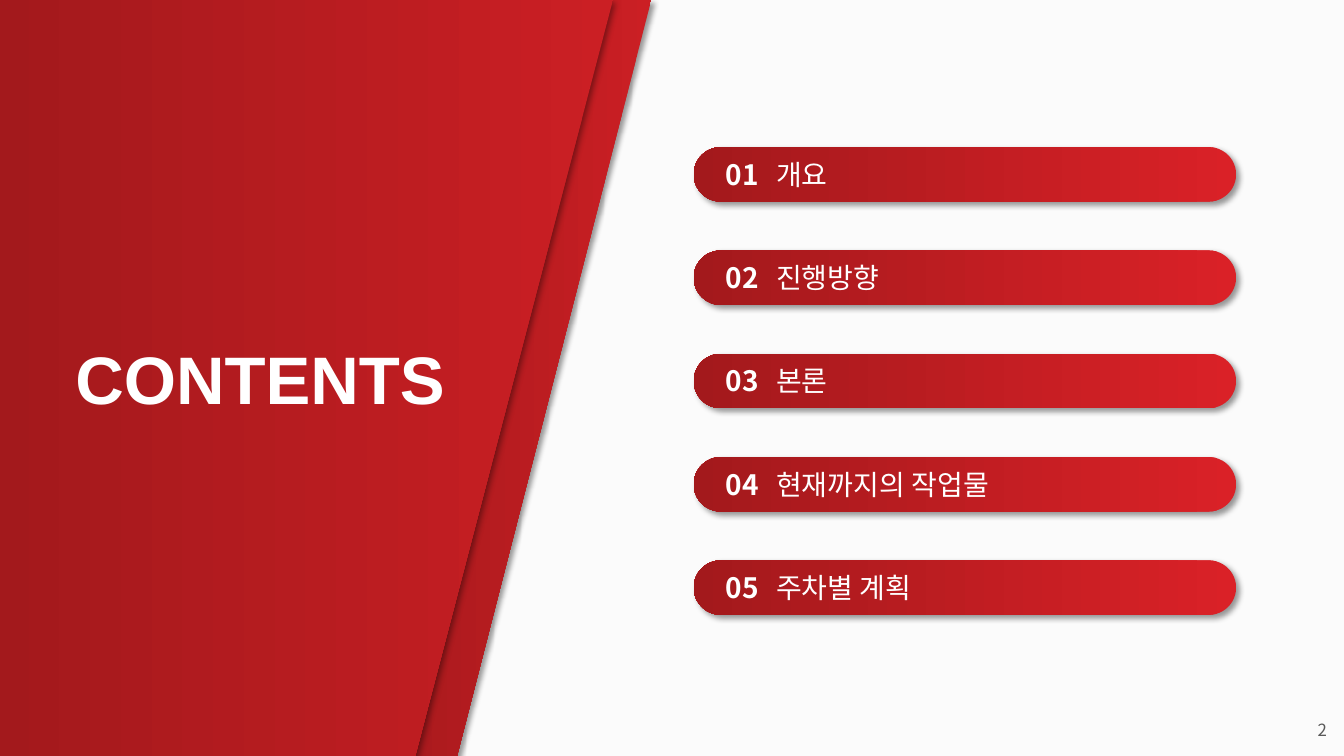
from dataclasses import dataclass

from lxml import etree
from pptx import Presentation
from pptx import util as u
from pptx.dml.color import RGBColor
from pptx.enum import shapes, text
from pptx.oxml.ns import qn


@dataclass(frozen=True)
class Theme:
    background: str = "FBFBFB"
    bright: str = "DA2127"
    medium: str = "CB1F24"
    dark: str = "A3191C"
    light_text: str = "FFFFFF"
    grey_text: str = "595959"
    shadow: str = "000000"
    body_font: str = "Noto Sans CJK KR"
    title_font: str = "Arial"
    title_size: int = 48
    item_size: int = 20
    number_size: int = 12


THEME = Theme()
WIDTH, HEIGHT = 13.33, 7.5
TOPICS = ["개요", "진행방향", "본론", "현재까지의 작업물", "주차별 계획"]

# Columns and rows of the list, in inches
BAR_LEFT, BAR_WIDTH, BAR_HEIGHT = 6.88, 5.38, 0.54
NUMBER_LEFT, NUMBER_WIDTH = 7.1, 2.69
TOPIC_LEFT, TOPIC_WIDTH = 7.6, 5.25
FIRST_ROW, ROW_PITCH = 1.46, 1.025
TEXT_DROP, TEXT_HEIGHT = 0.05, 0.44


def inches(*lengths):
    return [u.Inches(length) for length in lengths]


def paint(shape, right_color):
    """Fill with a gradient darkening to the left, and cast a soft shadow."""
    shape.line.fill.background()
    shape.fill.gradient()
    shape.fill.gradient_angle = 180
    for stop, color in zip(shape.fill.gradient_stops, (right_color, THEME.dark)):
        stop.color.rgb = RGBColor.from_string(color)
    for stop, position in zip(shape.fill.gradient_stops, (0, 1)):
        stop.position = position

    shape.shadow.inherit = False
    effects = shape._element.spPr.find(qn("a:effectLst"))
    shadow = etree.SubElement(
        effects, qn("a:outerShdw"), blurRad=str(u.Pt(4)), dist=str(u.Pt(3)),
        dir=str(45 * 60000), algn="tl", rotWithShape="0")
    color = etree.SubElement(shadow, qn("a:srgbClr"), val=THEME.shadow)
    etree.SubElement(color, qn("a:alpha"), val="40000")


def add_preset(parent, kind, place, adjustment, color):
    shape = parent.add_shape(kind, *inches(*place))
    shape.adjustments[0] = adjustment
    paint(shape, color)


def add_label(parent, words, place, size, font=THEME.body_font,
              color=THEME.light_text, bold=False, align=text.PP_ALIGN.LEFT):
    box = parent.add_textbox(*inches(*place))
    frame = box.text_frame
    frame.text = words
    frame.word_wrap = True
    frame.auto_size = text.MSO_AUTO_SIZE.SHAPE_TO_FIT_TEXT
    para = frame.paragraphs[0]
    para.alignment = align
    span = para.runs[0]
    span.font.name = font
    span.font.size = u.Pt(size)
    span.font.bold = bold
    span.font.color.rgb = RGBColor.from_string(color)
    etree.SubElement(span.font._element, qn("a:ea"), typeface=font)
    return span


def add_topic(page, index, topic):
    top = FIRST_ROW + index * ROW_PITCH
    group = page.shapes.add_group_shape().shapes
    add_preset(group, shapes.MSO_SHAPE.ROUNDED_RECTANGLE,
               (BAR_LEFT, top, BAR_WIDTH, BAR_HEIGHT), 0.5, THEME.bright)
    add_label(group, topic, (TOPIC_LEFT, top + TEXT_DROP, TOPIC_WIDTH, TEXT_HEIGHT),
              THEME.item_size)
    add_label(group, f"{index + 1:02}",
              (NUMBER_LEFT, top + TEXT_DROP, NUMBER_WIDTH, TEXT_HEIGHT),
              THEME.item_size, bold=True)


def add_title_panel(page):
    add_preset(page.shapes, shapes.MSO_SHAPE.PARALLELOGRAM,
               (3.56, 0, 2.9, HEIGHT), 0.664, THEME.medium)
    corners = [inches(*point) for point in
               ((-0.02, 0), (6.08, 0), (4.12, HEIGHT), (-0.02, HEIGHT))]
    outline = page.shapes.build_freeform(*corners[0])
    outline.add_line_segments(corners[1:], close=True)
    paint(outline.convert_to_shape(), THEME.medium)
    add_label(page.shapes, "CONTENTS", (0.24, 3.3, 4.68, 0.91), THEME.title_size,
              font=THEME.title_font, bold=True, align=text.PP_ALIGN.CENTER)


def add_page_number(page):
    span = add_label(page.shapes, "2", (11.66, 7.09, 1.6, 0.3), THEME.number_size,
                     color=THEME.grey_text, align=text.PP_ALIGN.RIGHT)
    span.font._element.set("spc", "300")


def main():
    deck = Presentation()
    deck.slide_width, deck.slide_height = inches(WIDTH, HEIGHT)
    page = deck.slides.add_slide(deck.slide_layouts[6])
    page.background.fill.solid()
    page.background.fill.fore_color.rgb = RGBColor.from_string(THEME.background)
    for index, topic in enumerate(TOPICS):
        add_topic(page, index, topic)
    add_title_panel(page)
    add_page_number(page)
    deck.save("out.pptx")


if __name__ == "__main__":
    main()
